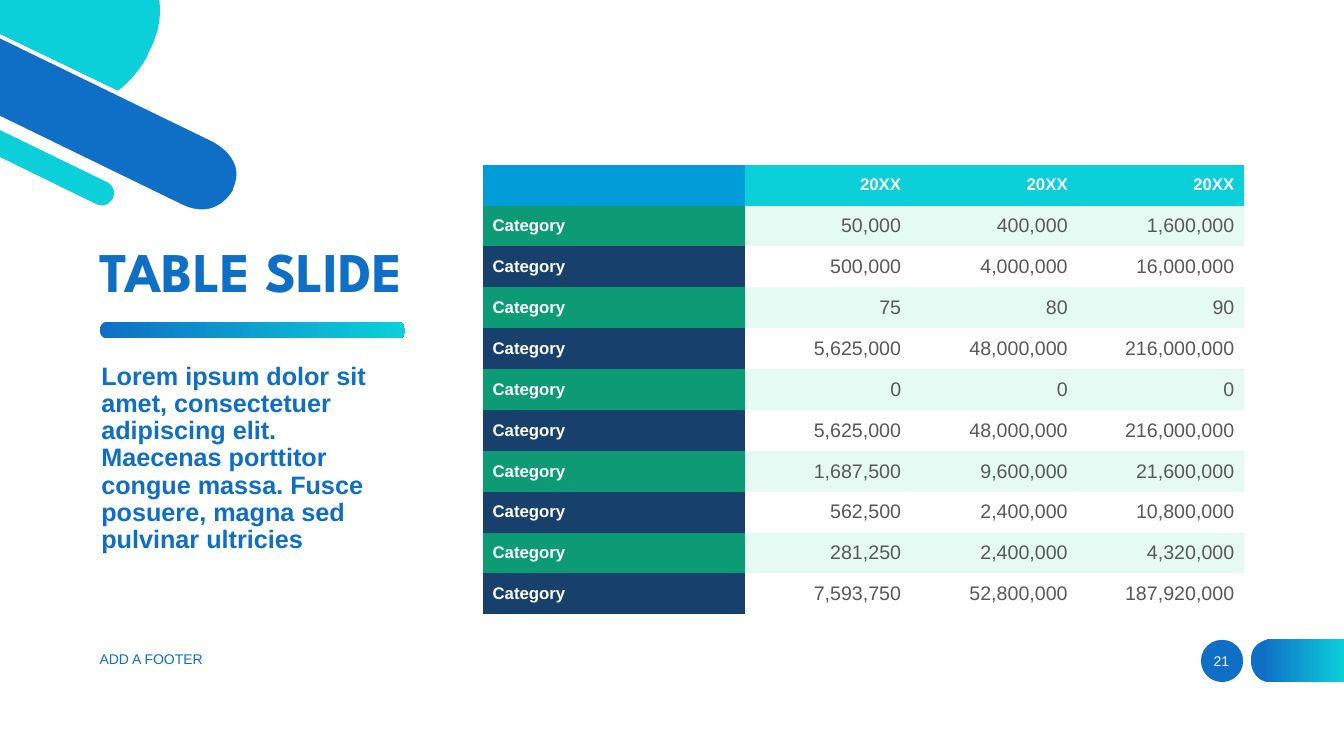
from lxml import etree
from pptx import Presentation
from pptx.dml.color import RGBColor
from pptx.enum import shapes, text
from pptx.oxml import ns
from pptx.util import Pt

COLORS = {
    "blue": "0F6FC6", "turquoise": "0BD0D9", "sky": "009DD9", "green": "0C9B74",
    "navy": "17406D", "mint": "10CF9B", "gray": "595959", "white": "FFFFFF",
}
NO_TABLE_STYLE = "{2D5ABB26-0587-4C30-8999-92F81FD0307C}"

YEARS = ["", "20XX", "20XX", "20XX"]
FIGURES = [
    ["50,000", "400,000", "1,600,000"],
    ["500,000", "4,000,000", "16,000,000"],
    ["75", "80", "90"],
    ["5,625,000", "48,000,000", "216,000,000"],
    ["0", "0", "0"],
    ["5,625,000", "48,000,000", "216,000,000"],
    ["1,687,500", "9,600,000", "21,600,000"],
    ["562,500", "2,400,000", "10,800,000"],
    ["281,250", "2,400,000", "4,320,000"],
    ["7,593,750", "52,800,000", "187,920,000"],
]

# Outlines in points: a pair is a line to a point, six numbers are a Bézier curve
DISC_RIM = [
    (0.7, 58.3), (20.2, 67.7), (43.2, 79.2, 64.1, 77.8, 82.8, 64.1),
    (96.5, 53.3, 103.7, 39.6, 103.7, 39.6), (105.1, 37.4),
    (111.6, 24.5, 113.8, 11.5, 112.3, 0), (115.2, 0),
    (116.6, 12.2, 114.5, 25.2, 107.3, 38.9), (106.6, 41),
    (105.8, 41.8, 98.6, 55.4, 84.2, 66.2), (76.3, 72.7, 64.8, 78.5, 49.7, 78.5),
    (40.3, 78.5, 30.2, 76.3, 18.7, 70.6), (0.7, 61.9)]
WIDE_BAR = [
    (152.6, 100.1), (152.6, 100.1, 179.3, 113, 167.8, 136.1), (167, 136.8),
    (167, 136.8, 155.5, 159.8, 129.6, 146.9), (0, 84.2), (0, 25.9)]
DISC = [
    (105.1, 40.3), (105.1, 40.3, 97.9, 54.7, 84.2, 64.8), (0, 24.5), (0, 0),
    (113.8, 0), (115.2, 10.8, 113.8, 23.8, 105.8, 38.2)]
THIN_BAR = [
    (0, 90.7), (76.3, 128.2), (76.3, 128.2, 86.4, 133.2, 82.1, 141.8), (82.1, 142.6),
    (82.1, 142.6, 77, 151.9, 67, 146.9), (0, 113.8)]
THIN_RIM = [
    (67.7, 145.4), (76.3, 149.8, 79.9, 142.6, 80.6, 141.8),
    (84.2, 133.9, 76.3, 129.6, 75.6, 129.6), (0, 92.9), (0, 89.3), (77, 126.7),
    (77, 126.7, 82.8, 129.6, 84.2, 134.6), (85, 137.5, 85, 140.4, 83.5, 143.3),
    (82.1, 146.2, 78.5, 149.8, 72.7, 149.8), (71.3, 149.8, 69.1, 149.8, 67, 148.3),
    (0, 115.9), (0, 112.3)]
WIDE_RIM = [
    (130.3, 146.2), (154.8, 157.7, 165.6, 136.8, 166.3, 136.1), (166.3, 135.4),
    (170.6, 126, 169.9, 118.1, 163.4, 110.2), (159.1, 105.1, 152.6, 101.5, 152.6, 101.5),
    (0, 27.4), (0, 24.5), (154.1, 98.6), (154.1, 99.4, 167, 105.1, 170.6, 117.4),
    (172.8, 123.1, 172.1, 129.6, 169.2, 136.8), (168.5, 137.5),
    (168.5, 137.5, 160.6, 152.6, 144.7, 152.6), (139.7, 152.6, 134.6, 151.2, 128.9, 148.3),
    (0, 85.7), (0, 82.8)]
PAGE_TAB = [
    (908.6, 487.4), (960.5, 487.4), (960.5, 456.5), (908.6, 456.5),
    (908.6, 456.5, 893.5, 456.5, 893.5, 471.6), (893.5, 472.3),
    (893.5, 472.3, 893.5, 487.4, 908.6, 487.4)]
TITLE_RULE = [
    (285.1, 241.6), (75.6, 241.6), (73.4, 241.6, 71.3, 239, 71.3, 236),
    (71.3, 232.6, 73.4, 230, 75.6, 230), (285.1, 230),
    (287.3, 230, 289.4, 232.6, 289.4, 236), (289.4, 239, 288, 241.6, 285.1, 241.6)]


def rgb(name):
    return RGBColor.from_string(COLORS[name])


def finish(shape, color):
    shape.shadow.inherit = False
    shape.line.fill.background()
    shape.fill.solid()
    shape.fill.fore_color.rgb = rgb(color)


def add_outline(slide, outline, color):
    points = [(Pt(x), Pt(y)) for step in outline for x, y in zip(step[::2], step[1::2])]
    builder = slide.shapes.build_freeform(*points[0], scale=1.0)
    builder.add_line_segments(points[1:], close=True)
    shape = builder.convert_to_shape()
    # Join each run of three points that belongs to a curve
    segments = iter(list(shape._element.iter(ns.qn("a:lnTo"))))
    for step in outline[1:]:
        first = next(segments)
        if len(step) == 6:
            first.tag = ns.qn("a:cubicBezTo")
            for _ in range(2):
                control = next(segments)
                first.append(control[0])
                control.getparent().remove(control)
    finish(shape, color)
    return shape


def add_gradient_outline(slide, outline, first_stop):
    fill = add_outline(slide, outline, "blue").fill
    fill.gradient()
    fill.gradient_angle = 0
    for stop, color, position in zip(fill.gradient_stops, ("blue", "turquoise"),
                                     (first_stop, 1)):
        stop.color.rgb = rgb(color)
        stop.position = position


def style(paragraph, size, color, bold=False, font="Arial", align=text.PP_ALIGN.LEFT):
    paragraph.alignment = align
    paragraph.font.size = Pt(size)
    paragraph.font.name = font
    paragraph.font.bold = bold
    paragraph.font.color.rgb = rgb(color)


def fill_placeholder(holder, box, words, anchor):
    holder.left, holder.top, holder.width, holder.height = map(Pt, box)
    frame = holder.text_frame
    frame.text = words
    frame.auto_size = text.MSO_AUTO_SIZE.NONE
    frame.vertical_anchor = anchor
    paragraph = frame.paragraphs[0]
    paragraph.line_spacing = 0.9
    return paragraph


def add_label(slide, box, words, color, align):
    frame = slide.shapes.add_textbox(*map(Pt, box)).text_frame
    frame.word_wrap = True
    frame.vertical_anchor = text.MSO_ANCHOR.MIDDLE
    frame.text = words
    style(frame.paragraphs[0], 10, color, align=align)


def fill_cell(cell, words, fill, size, color, bold, align, alpha=None):
    cell.fill.solid()
    cell.fill.fore_color.rgb = rgb(fill)
    if alpha:
        tint = cell._tc.tcPr.find(".//" + ns.qn("a:srgbClr"))
        etree.SubElement(tint, ns.qn("a:alpha"), val=str(alpha * 1000))
    cell.vertical_anchor = text.MSO_ANCHOR.MIDDLE
    cell.text = words
    style(cell.text_frame.paragraphs[0], size, color, bold, align=align)


def add_figures_table(slide):
    left, right = text.PP_ALIGN.LEFT, text.PP_ALIGN.RIGHT
    frame = slide.shapes.add_table(len(FIGURES) + 1, len(YEARS),
                                   Pt(344.7), Pt(117.6), Pt(544.2), Pt(321.2))
    table = frame.table
    table.first_row = table.horz_banding = False
    table._tbl.tblPr.find(ns.qn("a:tableStyleId")).text = NO_TABLE_STYLE
    for column, width in zip(table.columns, (187.2, 119, 119, 119)):
        column.width = Pt(width)
    for c, year in enumerate(YEARS):
        fill_cell(table.cell(0, c), year, "turquoise" if c else "sky", 12, "white", True, right)
    for r, figures in enumerate(FIGURES, 1):
        tinted = r % 2 == 1
        fill_cell(table.cell(r, 0), "Category", "green" if tinted else "navy",
                  12, "white", True, left)
        for c, figure in enumerate(figures, 1):
            fill_cell(table.cell(r, c), figure, "mint" if tinted else "white",
                      14, "gray", False, right, alpha=10 if tinted else None)


def main():
    prs = Presentation()
    prs.slide_width, prs.slide_height = Pt(960), Pt(540)
    slide = prs.slides.add_slide(prs.slide_layouts[1])

    # Page number badge and tab
    badge = slide.shapes.add_shape(shapes.MSO_SHAPE.OVAL, Pt(857.8), Pt(457), Pt(30.2), Pt(30.2))
    finish(badge, "blue")
    add_gradient_outline(slide, PAGE_TAB, 0.12)

    # Corner decoration
    for outline, color in ((DISC_RIM, "white"), (WIDE_BAR, "blue"), (DISC, "turquoise"),
                           (THIN_BAR, "turquoise"), (THIN_RIM, "white"), (WIDE_RIM, "white")):
        add_outline(slide, outline, color)

    # Title, rule and introduction
    add_gradient_outline(slide, TITLE_RULE, 0)
    title = fill_placeholder(slide.shapes.title, (64.1, 167.8, 267.8, 53.3),
                             "TABLE SLIDE", text.MSO_ANCHOR.BOTTOM)
    style(title, 40, "blue", True, "League Spartan")
    intro = fill_placeholder(
        slide.placeholders[1], (65.2, 256, 222.5, 145.4),
        "Lorem ipsum dolor sit amet, consectetuer adipiscing elit. Maecenas porttitor "
        "congue massa. Fusce posuere, magna sed pulvinar ultricies", text.MSO_ANCHOR.TOP)
    style(intro, 18, "blue", True)
    intro.space_before = Pt(10)
    props = intro._p.get_or_add_pPr()
    props.set("marL", "0")
    props.set("indent", "0")
    bullet = etree.Element(ns.qn("a:buNone"))
    props.find(ns.qn("a:defRPr")).addprevious(bullet)

    # Table
    add_figures_table(slide)

    # Footer
    add_label(slide, (64.1, 456.5, 324, 28.8), "ADD A FOOTER", "blue", text.PP_ALIGN.LEFT)
    add_label(slide, (850.8, 457.9, 43.2, 28.8), "21", "white", text.PP_ALIGN.CENTER)
    prs.save("out.pptx")


if __name__ == "__main__":
    main()
